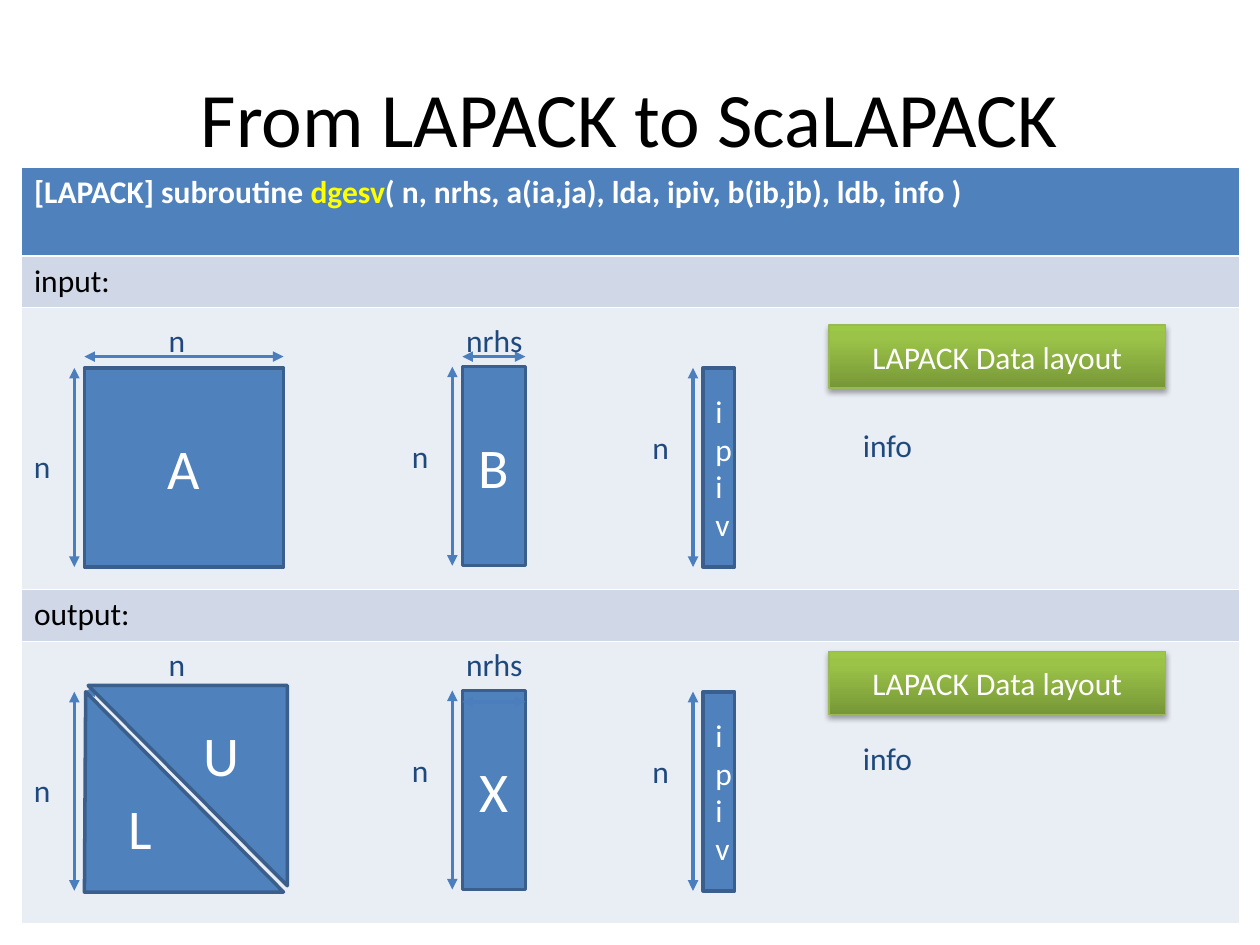
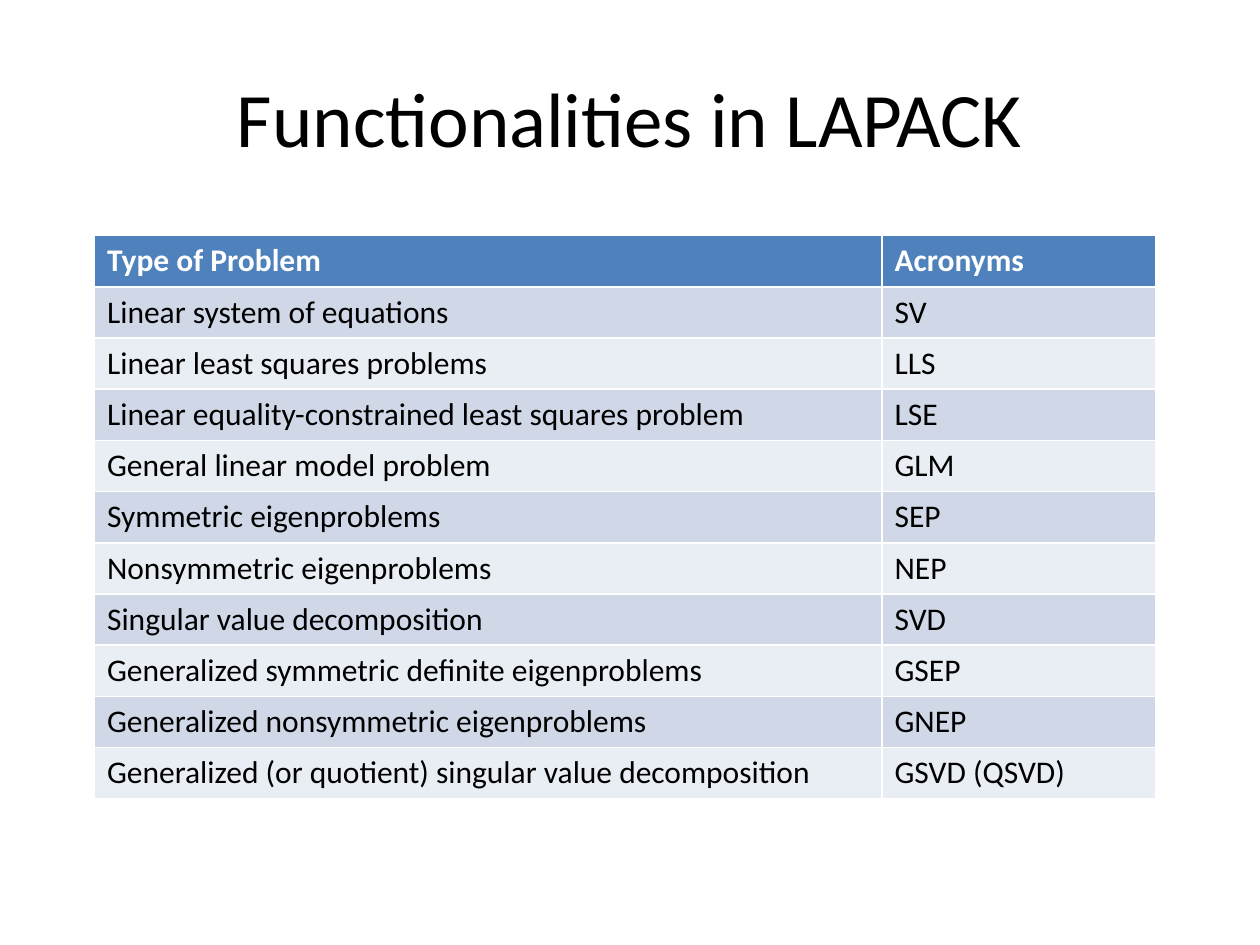
import copy

from lxml import etree
from pptx import Presentation
from pptx import util as u
from pptx.dml.color import RGBColor
from pptx.enum import shapes, text
from pptx.oxml.ns import qn

FONT = "Calibri"
WHITE, BLACK, YELLOW = "FFFFFF", "000000", "FFFF00"
BLUE, EDGE, ARROW, NAVY = "4F81BD", "3A5F8C", "4B7EBC", "1F497D"
DARK_BAND, LIGHT_BAND = "D0D8E8", "E9EDF4"
BADGE_DARK, BADGE_LIGHT, BADGE_TOP, BADGE_EDGE = "779737", "9BC348", "9DC746", "98B955"
SIDE = 1.58

PROBLEMS = [
    ("Type of Problem", "Acronyms"),
    ("Linear system of equations", "SV"),
    ("Linear least squares problems", "LLS"),
    ("Linear equality-constrained least squares problem", "LSE"),
    ("General linear model problem", "GLM"),
    ("Symmetric eigenproblems", "SEP"),
    ("Nonsymmetric eigenproblems", "NEP"),
    ("Singular value decomposition", "SVD"),
    ("Generalized symmetric definite eigenproblems", "GSEP"),
    ("Generalized nonsymmetric eigenproblems", "GNEP"),
    ("Generalized (or quotient) singular value decomposition", "GSVD (QSVD)"),
]


def color(code):
    return RGBColor.from_string(code)


def style_font(font, size, code, bold=None):
    font.name = FONT
    font.size = u.Pt(size)
    font.color.rgb = color(code)
    font.bold = bold


def paint(shape, fill=BLUE, line=EDGE, width=2):
    shape.shadow.inherit = False
    if fill:
        shape.fill.solid()
        shape.fill.fore_color.rgb = color(fill)
    shape.line.color.rgb = color(line)
    shape.line.width = u.Pt(width)


def add_page(deck, title):
    page = deck.slides.add_slide(deck.slide_layouts[5])
    page.shapes.title.text = title
    para = page.shapes.title.text_frame.paragraphs[0]
    para.alignment = text.PP_ALIGN.CENTER
    style_font(para.font, 44, BLACK)
    return page


def add_table(page, left, top, widths, heights, rows):
    frame = page.shapes.add_table(
        len(rows), len(widths), u.Inches(left), u.Inches(top),
        u.Inches(sum(widths)), u.Inches(sum(heights)))
    table = frame.table
    for column, width in zip(table.columns, widths):
        column.width = u.Inches(width)
    for index, (values, height) in enumerate(zip(rows, heights)):
        table.rows[index].height = u.Inches(height)
        header = index == 0
        band = BLUE if header else (DARK_BAND if index % 2 else LIGHT_BAND)
        for cell, value in zip(table.rows[index].cells, values):
            cell.fill.solid()
            cell.fill.fore_color.rgb = color(band)
            para = cell.text_frame.paragraphs[0]
            style_font(para.font, 18, WHITE if header else BLACK, header)
            for part in [value] if isinstance(value, str) else value:
                if part:
                    span = para.add_run()
                    span.text = part
                    style_font(span.font, 18, WHITE if header else BLACK, header)
    return table


def add_label(page, left, top, width, words, size=18, code=NAVY, height=0.4):
    box = page.shapes.add_textbox(
        u.Inches(left), u.Inches(top), u.Inches(width), u.Inches(height))
    box.text_frame.word_wrap = False
    box.text_frame.auto_size = text.MSO_AUTO_SIZE.SHAPE_TO_FIT_TEXT
    para = box.text_frame.paragraphs[0]
    para.text = words
    style_font(para.font, size, code)


def add_arrow(page, left, top, right, bottom):
    arrow = page.shapes.add_connector(
        shapes.MSO_CONNECTOR.STRAIGHT, u.Inches(left), u.Inches(top),
        u.Inches(right), u.Inches(bottom))
    arrow.line.color.rgb = color(ARROW)
    arrow.line.width = u.Pt(2)
    line = arrow.line._get_or_add_ln()
    for end in ("a:headEnd", "a:tailEnd"):
        etree.SubElement(line, qn(end), type="triangle")
    etree.SubElement(arrow.element.spPr, qn("a:effectLst"))


def add_box(page, left, top, width, height, lines, size):
    box = page.shapes.add_shape(
        shapes.MSO_SHAPE.RECTANGLE, u.Inches(left), u.Inches(top),
        u.Inches(width), u.Inches(height))
    frame = box.text_frame
    frame.vertical_anchor = text.MSO_ANCHOR.MIDDLE
    frame.text = "\n".join(lines)
    for para in frame.paragraphs:
        para.alignment = text.PP_ALIGN.CENTER
        style_font(para.font, size, WHITE)
    return box


def add_height(page, left, top, drop):
    add_arrow(page, left - 0.08, top, left - 0.08, top + SIDE)
    add_label(page, left - 0.5, top + drop, 0.34, "n")


def add_matrix(page, left, top, width, lines, size, drop):
    paint(add_box(page, left, top, width, SIDE, lines, size))
    add_height(page, left, top, drop)


def add_triangle(page, points):
    builder = page.shapes.build_freeform(
        *(u.Inches(value) for value in points[0]))
    builder.add_line_segments(
        [(u.Inches(x), u.Inches(y)) for x, y in points[1:]], close=True)
    paint(builder.convert_to_shape())


def add_factors(page, left, top):
    right, bottom = left + SIDE, top + SIDE
    add_triangle(page, [(left + 0.01, top), (left, bottom + 0.01), (right, bottom + 0.01)])
    add_triangle(page, [(left + 0.03, top - 0.05), (right + 0.03, top - 0.05),
                        (right + 0.03, bottom - 0.04)])
    add_label(page, left + 0.25, top + 0.76, 0.39, "L", 32, WHITE, 0.64)
    add_label(page, left + 0.85, top + 0.18, 0.49, "U", 32, WHITE, 0.64)
    add_height(page, left, top, 0.58)


def add_badge(page, left, top):
    badge = add_box(page, left, top, 2.67, 0.5, ["LAPACK Data layout"], 18)
    badge.fill.gradient()
    badge.fill.gradient_angle = 90
    stop_list = badge.element.spPr.find(".//" + qn("a:gsLst"))
    stop_list.append(copy.deepcopy(stop_list[-1]))
    stops = ((0, BADGE_DARK), (0.8, BADGE_LIGHT), (1, BADGE_TOP))
    for stop, (position, code) in zip(badge.fill.gradient_stops, stops):
        stop.position = position
        stop.color.rgb = color(code)
    paint(badge, None, BADGE_EDGE, 0.75)
    effects = badge.element.spPr.find(qn("a:effectLst"))
    shadow = etree.SubElement(
        effects, qn("a:outerShdw"), blurRad=str(u.Pt(3.1)), dist=str(u.Pt(1.8)),
        dir="5400000", rotWithShape="0")
    shade = etree.SubElement(shadow, qn("a:srgbClr"), val=BLACK)
    etree.SubElement(shade, qn("a:alpha"), val="35000")


def add_state(page, top, solved):
    a_left, b_left, pivot_left = 0.67, 3.67, 5.58
    width_line = top if solved else top - 0.09
    add_arrow(page, a_left, width_line, a_left + SIDE, width_line)
    add_label(page, a_left + 0.57, top - 0.42, 0.35, "n")
    if solved:
        add_factors(page, a_left, top)
    else:
        add_matrix(page, a_left, top, SIDE, ["A"], 32, 0.58)

    add_matrix(page, b_left, top - 0.01, 0.5, ["X" if solved else "B"], 32,
               0.43 if solved else 0.51)
    count_line = top + (0.08 if solved else -0.09)
    add_arrow(page, b_left, count_line, b_left + 0.5, count_line)
    add_label(page, b_left - 0.07, top - 0.42, 0.65, "nrhs")

    add_matrix(page, pivot_left, top, 0.25, "ipiv", 18, 0.43)
    add_label(page, 6.75, top + (0.33 if solved else 0.41), 0.6, "info")
    add_badge(page, 6.58, top - (0.32 if solved else 0.34))


def build_solver_page(deck):
    page = add_page(deck, "From LAPACK to ScaLAPACK")
    call = ("[LAPACK] subroutine ", "dgesv",
            "( n, nrhs, a(ia,ja), lda, ipiv, b(ib,jb), ldb, info )")
    table = add_table(page, 0.17, 1.33, [9.67], [0.7, 0.41, 2.24, 0.41, 2.24],
                      [(call,), ("input:",), ("",), ("output:",), ("",)])
    routine = table.cell(0, 0).text_frame.paragraphs[0].runs[1]
    routine.font.color.rgb = color(YELLOW)
    add_state(page, 2.92, solved=False)
    add_state(page, 5.49, solved=True)


def build_problem_page(deck):
    page = add_page(deck, "Functionalities in LAPACK")
    count = len(PROBLEMS)
    add_table(page, 0.75, 1.87, [6.25, 2.17], [4.47 / count] * count, PROBLEMS)


def main():
    deck = Presentation()
    deck.slide_width, deck.slide_height = u.Inches(10), u.Inches(7.5)
    build_solver_page(deck)
    build_problem_page(deck)
    deck.save("out.pptx")


if __name__ == "__main__":
    main()
